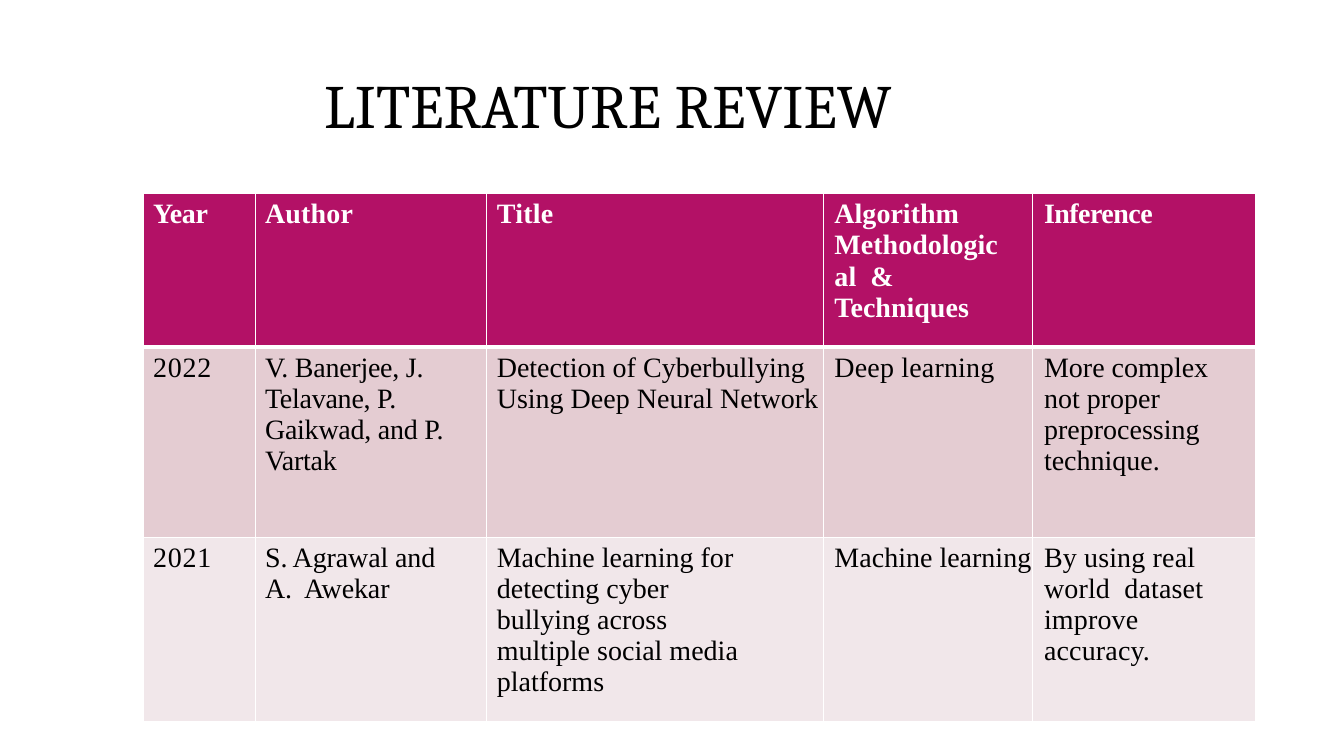
"""Build the literature review slide with its table of papers."""
from lxml import etree
from pptx import Presentation
from pptx.dml.color import RGBColor
from pptx.enum.text import MSO_ANCHOR, PP_ALIGN
from pptx.oxml.ns import qn
from pptx.util import Cm, Pt

LEFT, MID = PP_ALIGN.LEFT, PP_ALIGN.CENTER
CENTRE = MSO_ANCHOR.MIDDLE
INK = {"black": "000000", "white": "FFFFFF", "head": "B31166",
       "dark": "E4CCD2", "light": "F1E7EA"}


def write(frame, text, size=20, font="Times New Roman", ink="black",
          bold=False, align=LEFT, above=3.5, track=0):
    para = frame.paragraphs[0]
    para.alignment = align
    para.space_before = Pt(above)
    run = para.add_run()
    run.text = text
    run.font.size = Pt(size)
    run.font.name = font
    run.font.bold = bold
    run.font.color.rgb = RGBColor.from_string(INK[ink])
    run._r.get_or_add_rPr().set("spc", str(round(track * 100)))


def edge(cell, side, width):
    line = etree.SubElement(cell._tc.get_or_add_tcPr(), qn("a:ln" + side),
                            w=str(Pt(width)))
    fill = etree.SubElement(line, qn("a:solidFill"))
    etree.SubElement(fill, qn("a:srgbClr"), val=INK["white"])


deck = Presentation()
deck.slide_width, deck.slide_height = Cm(33.87), Cm(19.05)
slide = deck.slides.add_slide(deck.slide_layouts[6])

title = slide.shapes.add_textbox(Cm(6.15), Cm(1.63), Cm(18.69), Cm(1.93))
frame = title.text_frame
frame.word_wrap = True
frame.vertical_anchor = CENTRE
frame.margin_left = frame.margin_right = frame.margin_bottom = 0
frame.margin_top = Cm(0.03)
write(frame, "LITERATURE REVIEW ", size=44, font="Cambria", align=MID,
      above=1.1)

WIDTHS = [2.82, 5.84, 8.48, 5.28, 5.61]
HEIGHTS = [3.86, 4.8, 4.65]
INSETS = [0.25, 0.25, 0.25, 0.28, 0.28]
FILLS = ["head", "dark", "light"]

# Each entry holds the wording, letter spacing and right inset.
ROWS = [
    [("Year", -0.3, 0), ("Author", 0.1, 0), ("Title", 0.2, 0),
     ("Algorithm Methodological  & Techniques", 0, 0.65),
     ("Inference", -0.4, 0)],
    [("2022", 0.5, 0),
     ("V. Banerjee, J. Telavane, P. Gaikwad, and P.  Vartak", -0.2, 0.75),
     ("Detection of Cyberbullying Using Deep Neural Network", 0, 0),
     ("Deep learning", 0.1, 0),
     ("More complex not proper preprocessing technique.", 0, 0.75)],
    [("2021", 0.5, 0), ("S. Agrawal and A.  Awekar", -0.1, 0.75),
     ("Machine learning for detecting cyber bullying across "
      "multiple social media platforms", 0, 1.95),
     ("Machine learning", 0, 0),
     ("By using real world  dataset improve accuracy.", 0.1, 0.75)],
]

table = slide.shapes.add_table(len(ROWS), len(WIDTHS), Cm(3.61), Cm(4.88),
                               Cm(sum(WIDTHS)), Cm(sum(HEIGHTS))).table
for col, width in zip(table.columns, WIDTHS):
    col.width = Cm(width)
for row, height in zip(table.rows, HEIGHTS):
    row.height = Cm(height)

for r, row in enumerate(ROWS):
    top = r == 0
    for c, (text, track, right) in enumerate(row):
        cell = table.cell(r, c)
        cell.margin_left, cell.margin_right = Cm(INSETS[c]), Cm(right)
        cell.margin_top, cell.margin_bottom = Cm(0.13), 0
        for side, width in zip("LRTB", [1, 1, 3 if r == 1 else 1,
                                        3 if top else 1]):
            edge(cell, side, width)
        cell.fill.solid()
        cell.fill.fore_color.rgb = RGBColor.from_string(INK[FILLS[r]])
        write(cell.text_frame, text, ink="white" if top else "black",
              bold=top, track=track)

deck.save("out.pptx")
